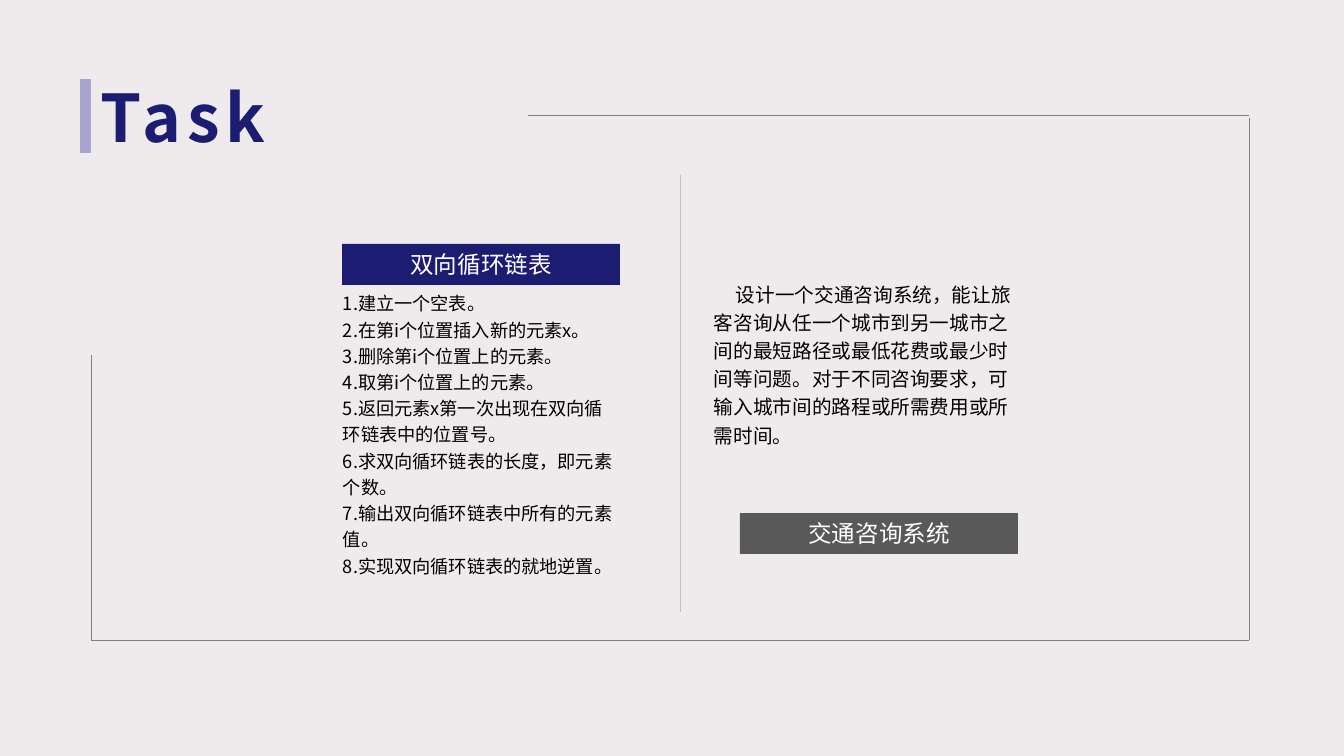
import lxml.etree
import pptx
import pptx.dml.color
import pptx.enum.shapes
import pptx.enum.text
import pptx.oxml.ns
import pptx.util

EMU_PER_INCH = 914400
PX_PER_INCH = 100.8
FONT = "Noto Sans CJK SC"
NAVY = "1C1C73"
ALIGN = pptx.enum.text.PP_ALIGN
ANCHOR = pptx.enum.text.MSO_ANCHOR

LIST_TASKS = [
    "1.建立一个空表。",
    "2.在第i个位置插入新的元素x。",
    "3.删除第i个位置上的元素。",
    "4.取第i个位置上的元素。",
    "5.返回元素x第一次出现在双向循环链表中的位置号。",
    "6.求双向循环链表的长度，即元素个数。",
    "7.输出双向循环链表中所有的元素值。",
    "8.实现双向循环链表的就地逆置。",
]
TRAFFIC_TASK = (
    "设计一个交通咨询系统，能让旅客咨询从任一个城市到另一城市之间的"
    "最短路径或最低花费或最少时间等问题。对于不同咨询要求，"
    "可输入城市间的路程或所需费用或所需时间。"
)


def px(value):
    return pptx.util.Emu(round(value * EMU_PER_INCH / PX_PER_INCH))


def color(value):
    return pptx.dml.color.RGBColor.from_string(value)


def write_text(shape, lines, size, fill, align, anchor=ANCHOR.MIDDLE, wrap=True,
               margins=(0, 0), bold=False, line_spacing=None, indent=0, tracking=0):
    frame = shape.text_frame
    frame.word_wrap = wrap
    frame.vertical_anchor = anchor
    frame.margin_left = frame.margin_right = px(margins[0])
    frame.margin_top = frame.margin_bottom = px(margins[1])
    frame.text = "\n".join(lines)
    for paragraph in frame.paragraphs:
        paragraph.alignment = align
        paragraph.line_spacing = line_spacing
        font = paragraph.font
        font.name = FONT
        font.size = pptx.util.Pt(size)
        font.bold = bold
        font.color.rgb = color(fill)
        properties = paragraph._p.get_or_add_pPr()
        if indent:
            properties.set("indent", str(px(indent)))
        defaults = properties.find(pptx.oxml.ns.qn("a:defRPr"))
        if tracking:
            defaults.set("spc", str(tracking * 100))
        east_asian = lxml.etree.SubElement(defaults, pptx.oxml.ns.qn("a:ea"))
        east_asian.set("typeface", FONT)


def add_text(slide, box, lines, size, fill, align, **options):
    shape = slide.shapes.add_textbox(*map(px, box))
    write_text(shape, lines, size, fill, align, **options)


def add_bar(slide, box, fill):
    shape = slide.shapes.add_shape(
        pptx.enum.shapes.MSO_SHAPE.RECTANGLE, *map(px, box))
    shape.shadow.inherit = False
    shape.fill.solid()
    shape.fill.fore_color.rgb = color(fill)
    shape.line.fill.background()
    return shape


def add_label(slide, left, top, text, fill):
    shape = add_bar(slide, (left, top, 278, 41), fill)
    write_text(shape, [text], 16.8, "FFFFFF", ALIGN.CENTER, wrap=False, margins=(13, 7))


def add_line(slide, points, stroke):
    line = slide.shapes.add_connector(
        pptx.enum.shapes.MSO_CONNECTOR.STRAIGHT, *map(px, points))
    line.line.color.rgb = color(stroke)
    line.line.width = pptx.util.Pt(0.5)
    lxml.etree.SubElement(line._element.spPr, pptx.oxml.ns.qn("a:effectLst"))


def main():
    presentation = pptx.Presentation()
    presentation.slide_width = px(1344)
    presentation.slide_height = px(756)
    slide = presentation.slides.add_slide(presentation.slide_layouts[6])
    slide.background.fill.solid()
    slide.background.fill.fore_color.rgb = color("EFEBEC")

    add_bar(slide, (80, 79, 11, 74), "AAA4D1")
    add_text(slide, (91, 72, 323, 88), ["Task"], 47, NAVY, ALIGN.JUSTIFY,
             anchor=ANCHOR.TOP, wrap=False, margins=(10, 5), bold=True, tracking=4)

    add_line(slide, (680, 175, 680, 612), "BFBFBF")
    for edge in [
        (528, 115, 1249, 115),
        (1249, 118, 1249, 640),
        (1249, 640, 91, 640),
        (91, 640, 91, 355),
    ]:
        add_line(slide, edge, "808080")

    add_label(slide, 342, 244, "双向循环链表", NAVY)
    add_text(slide, (343, 288, 278, 289), LIST_TASKS, 13, "000000", ALIGN.LEFT,
             line_spacing=1.2)

    add_text(slide, (714, 279, 304, 167), [TRAFFIC_TASK], 14, "000000", ALIGN.LEFT,
             line_spacing=1.2, indent=22)
    add_label(slide, 740, 513, "交通咨询系统", "595959")

    presentation.save("out.pptx")


if __name__ == "__main__":
    main()
